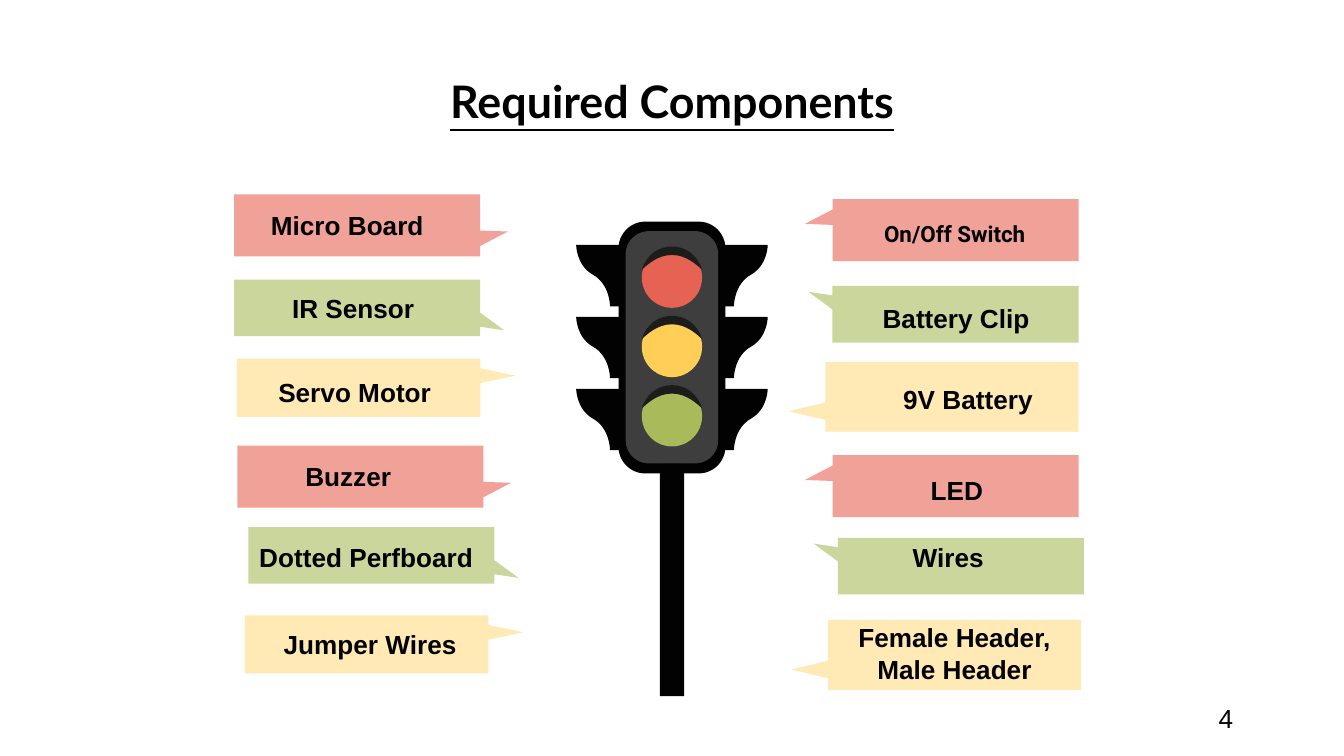
from pptx import Presentation
from pptx.dml.color import RGBColor
from pptx.enum.shapes import MSO_SHAPE
from pptx.enum.text import MSO_ANCHOR, MSO_AUTO_SIZE, PP_ALIGN
from pptx.oxml.ns import qn
from pptx.util import Cm, Pt

BLACK = RGBColor(0x00, 0x00, 0x00)
POLE_BLACK = RGBColor(0x02, 0x02, 0x02)
PANEL_GREY = RGBColor(0x3E, 0x3E, 0x3E)
HOOD_GREY = RGBColor(0x1C, 0x1C, 0x1B)
LENS_RED = RGBColor(0xE6, 0x63, 0x53)
LENS_YELLOW = RGBColor(0xFF, 0xCE, 0x56)
LENS_GREEN = RGBColor(0xA9, 0xBA, 0x5A)
PALE_RED = RGBColor(0xF0, 0xA1, 0x98)
PALE_GREEN = RGBColor(0xCB, 0xD6, 0x9C)
PALE_YELLOW = RGBColor(0xFF, 0xEA, 0xB5)
SLIDE_WIDTH = 25.4
CENTRE = SLIDE_WIDTH / 2


def write(frame, text, size=14, font="Arial", bold=True, underline=None,
          align=PP_ALIGN.LEFT, anchor=MSO_ANCHOR.TOP, inset=0.13,
          line_spacing=None, space_after=None):
    frame.word_wrap = True
    frame.auto_size = MSO_AUTO_SIZE.NONE
    frame.vertical_anchor = anchor
    frame.margin_left = frame.margin_right = Cm(0.25)
    frame.margin_top = frame.margin_bottom = Cm(inset)
    for index, line in enumerate(text.split("\n")):
        para = frame.add_paragraph() if index else frame.paragraphs[0]
        para.alignment = align
        para.line_spacing = line_spacing
        para.space_before = Pt(0)
        para.space_after = space_after
        span = para.add_run()
        span.text = line
        span.font.size = Pt(size)
        span.font.name = font
        span.font.bold = bold
        span.font.underline = underline
        span.font.color.rgb = BLACK


def paint(shape, color):
    shape.shadow.inherit = False
    shape.fill.solid()
    shape.fill.fore_color.rgb = color
    shape.line.fill.background()


deck = Presentation()
deck.slide_width = Cm(SLIDE_WIDTH)
deck.slide_height = Cm(14.29)
page = deck.slides.add_slide(deck.slide_layouts[5])
shapes = page.shapes

title = shapes.title
title.left, title.top, title.width, title.height = Cm(1.27), Cm(1.14), Cm(22.86), Cm(1.12)
write(title.text_frame, "Required Components", size=24, font="Lato",
      underline=True, align=PP_ALIGN.CENTER, inset=0.25)

for kind, top, width, height, color in (
    (MSO_SHAPE.ROUNDED_RECTANGLE, 4.19, 2.02, 4.76, POLE_BLACK),
    (MSO_SHAPE.ROUNDED_RECTANGLE, 4.37, 1.75, 4.39, PANEL_GREY),
    (MSO_SHAPE.RECTANGLE, 8.77, 0.46, 4.39, POLE_BLACK),
):
    part = shapes.add_shape(kind, Cm(CENTRE - width / 2), Cm(top), Cm(width), Cm(height))
    if kind == MSO_SHAPE.ROUNDED_RECTANGLE:
        part.adjustments[0] = 0.25
    paint(part, color)

for row, color in enumerate((LENS_RED, LENS_YELLOW, LENS_GREEN)):
    lens = shapes.add_shape(MSO_SHAPE.OVAL, Cm(CENTRE - 0.57), Cm(4.67 + 1.31 * row),
                            Cm(1.14), Cm(1.15))
    paint(lens, color)

HOOD = ((0, 0), [
    ((-0.25, 0), (-0.48, 0.15), (-0.57, 0.44)),
    ((-0.48, 0.36), (-0.28, 0.16), (0, 0.16)),
    ((0.28, 0.16), (0.48, 0.36), (0.57, 0.44)),
    ((0.48, 0.15), (0.25, 0), (0, 0)),
])
VISOR = ((0.97, 0), [
    ((0.97, 1.16),),
    ((1.17, 1.16),),
    ((1.17, 1.16), (1.17, 0.74), (1.5, 0.56)),
    ((1.81, 0.38), (1.81, 0), (1.81, 0)),
])
for (start, segments), first_top, pitch, side, color in (
    (HOOD, 4.66, 1.31, 1, HOOD_GREY),
    (VISOR, 4.63, 1.36, 1, POLE_BLACK),
    (VISOR, 4.63, 1.36, -1, POLE_BLACK),
):
    points = [start] + [point for segment in segments for point in segment]
    for row in range(3):
        top = first_top + pitch * row
        outline = [(Cm(CENTRE + side * x), Cm(top + y)) for x, y in points]
        builder = shapes.build_freeform(*outline[0])
        builder.add_line_segments(outline[1:], close=True)
        piece = builder.convert_to_shape()
        paint(piece, color)
        strokes = iter(list(piece._element.iter(qn("a:lnTo"))))
        for segment in segments:
            first, *others = [next(strokes) for _ in segment]
            if others:
                first.tag = qn("a:cubicBezTo")
            for other in others:
                first.append(other[0])
                other.getparent().remove(other)

STYLES = (
    (PALE_RED, (-0.099, 0.613, 0), False),
    (PALE_GREEN, (0.398, 0.598, 0), True),
    (PALE_YELLOW, (0.209, 0.645, 0), False),
)
LEFT_SIZES = ((1.17, 4.65), (1.07, 4.65), (1.1, 4.6))
RIGHT_SIZES = ((1.17, 4.65), (1.07, 4.65), (1.32, 4.78))
LEFT_CENTRES = ((6.75, 4.26), (6.75, 5.82), (6.78, 7.33),
                (6.81, 9.01), (7.02, 10.5), (6.93, 12.18))
RIGHT_CENTRES = ((18.06, 4.35), (18.06, 5.94), (17.99, 7.5),
                 (18.06, 9.19), (18.16, 10.7), (18.04, 12.38))
for rotation, centres, sizes in ((270, LEFT_CENTRES, LEFT_SIZES), (90, RIGHT_CENTRES, RIGHT_SIZES)):
    for index, (x, y) in enumerate(centres):
        color, tail, flipped = STYLES[index % 3]
        width, height = sizes[index % 3]
        callout = shapes.add_shape(MSO_SHAPE.ROUNDED_RECTANGULAR_CALLOUT, Cm(x - width / 2),
                                   Cm(y - height / 2), Cm(width), Cm(height))
        for position, value in enumerate(tail):
            callout.adjustments[position] = value
        callout.rotation = rotation
        if flipped:
            callout._element.spPr.get_or_add_xfrm().set("flipH", "1")
        paint(callout, color)

CENTRED = {"align": PP_ALIGN.CENTER}
JUSTIFIED = {"align": PP_ALIGN.JUSTIFY, "line_spacing": 1.04, "space_after": Pt(13.6)}
SWITCH = {"size": 12, "font": "Roboto", "inset": 0.25, "anchor": MSO_ANCHOR.MIDDLE, **CENTRED}
for text, left, top, width, height, style in (
    ("Micro Board", 4.87, 3.82, 4.19, 1.45, {}),
    ("IR Sensor", 5.27, 5.37, 4.45, 0.84, JUSTIFIED),
    ("Servo Motor", 5.01, 6.96, 4.72, 0.84, JUSTIFIED),
    ("Buzzer", 5.52, 8.57, 2.54, 0.86, {}),
    ("Dotted Perfboard", 4.65, 10.11, 5.64, 0.86, {}),
    ("Jumper Wires", 5.11, 11.75, 3.81, 0.86, {}),
    ("On/Off Switch", 16.18, 3.98, 3.73, 0.86, SWITCH),
    ("Battery Clip", 16.43, 5.59, 3.61, 0.86, {}),
    ("9V Battery", 16.82, 7.11, 4.09, 0.86, {}),
    ("LED", 17.34, 8.84, 2.54, 0.86, {}),
    ("Wires", 17, 10.11, 2.54, 0.86, {}),
    ("Female Header,\nMale Header", 14.38, 11.62, 7.32, 1.45, CENTRED),
    ("4", 22.78, 13.15, 1.35, 0.86, {"bold": False}),
):
    box = shapes.add_textbox(Cm(left), Cm(top), Cm(width), Cm(height))
    write(box.text_frame, text, **style)

deck.save("out.pptx")
